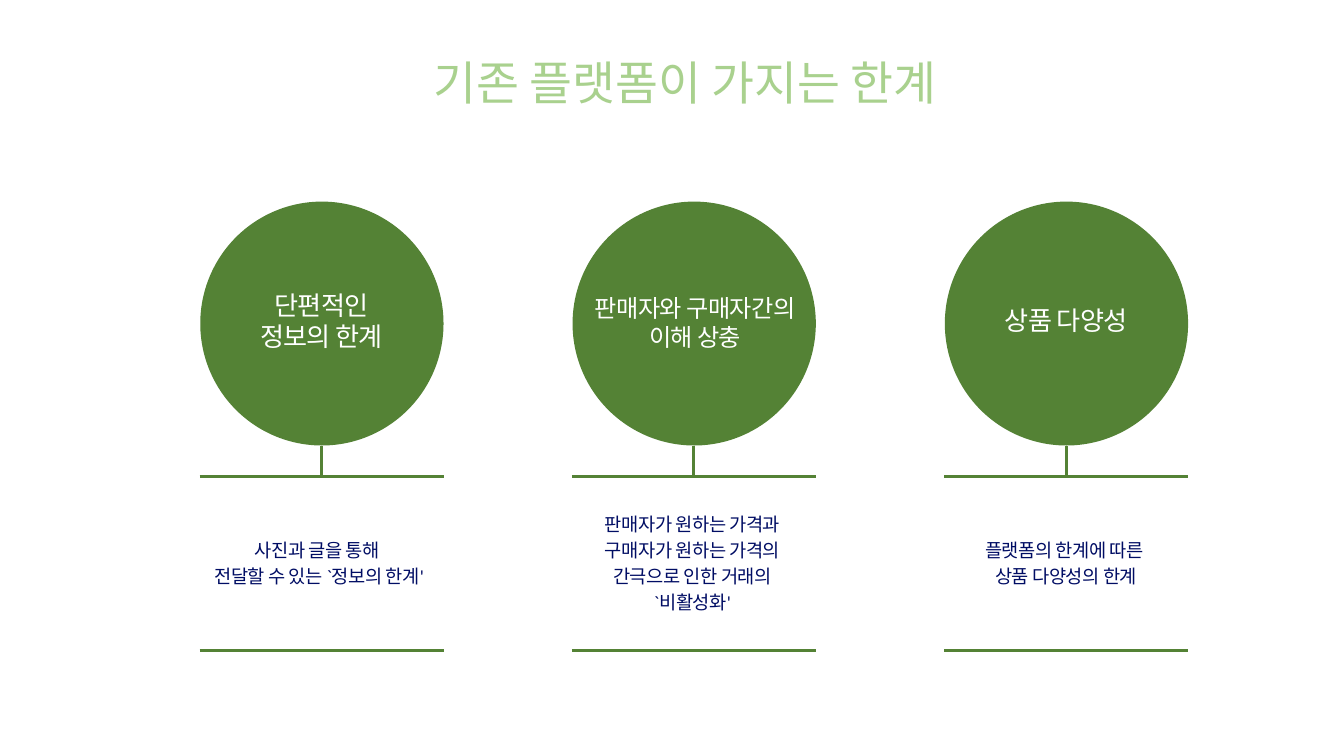
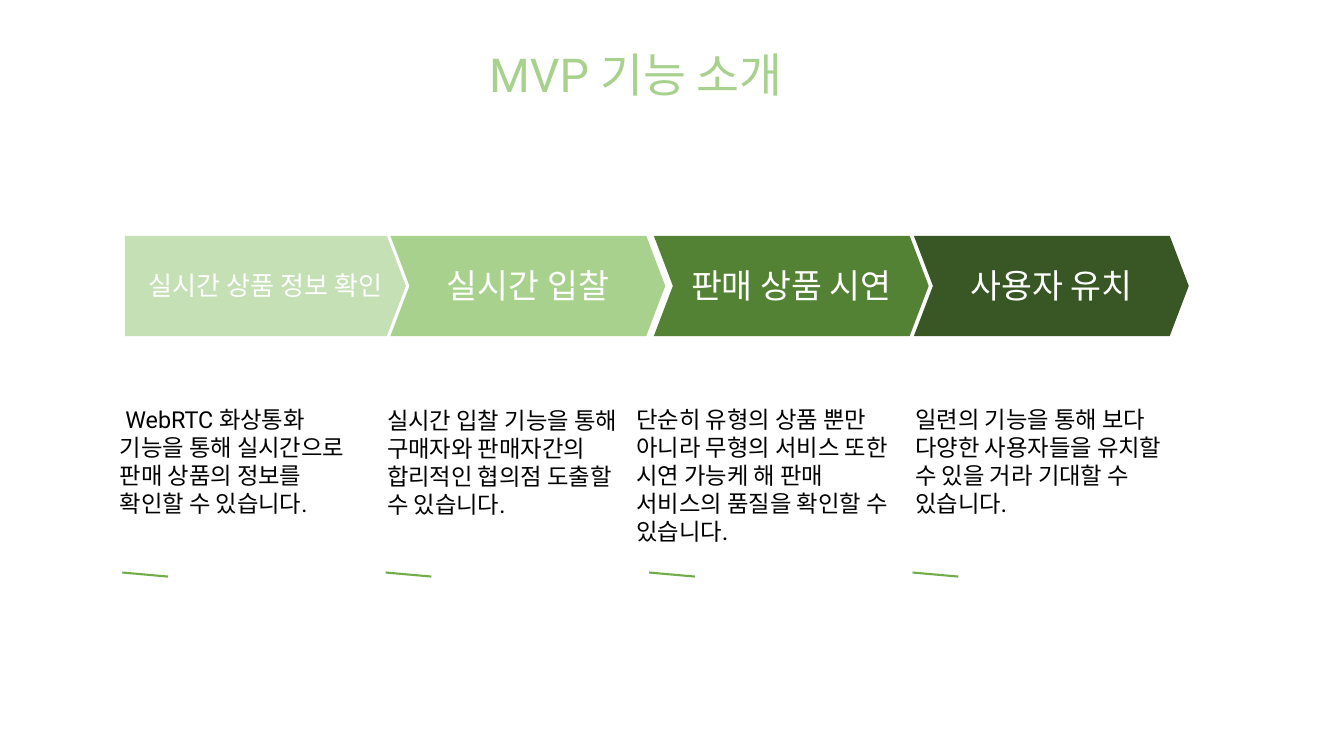
from dataclasses import dataclass

import pptx
import pptx.dml.color
import pptx.enum.shapes
import pptx.enum.text
import pptx.util
from pptx.util import Inches

SHAPE = pptx.enum.shapes.MSO_SHAPE
ALIGN = pptx.enum.text.PP_ALIGN
ANCHOR = pptx.enum.text.MSO_ANCHOR

# Shared palette and fonts
PALE, LIGHT, GREEN, DARK = "C5E0B4", "A9D18E", "548235", "385724"
ACCENT, NAVY, WHITE, BLACK = "70AD47", "000D64", "FFFFFF", "000000"
MAIN_FONT, LATIN_FONT = "Calibri", "Roboto"


@dataclass(frozen=True)
class Area:
    left: float
    top: float
    width: float
    height: float

    def lengths(self) -> list:
        return [Inches(n) for n in (self.left, self.top, self.width, self.height)]


@dataclass(frozen=True)
class TextStyle:
    size: float
    line_height: float
    color: str
    font: str = MAIN_FONT
    align: ALIGN = ALIGN.CENTER
    tracking: float = 0


@dataclass(frozen=True)
class Limit:
    label: str
    label_area: Area
    label_style: TextStyle
    detail: str
    detail_area: Area


@dataclass(frozen=True)
class Feature:
    name: str
    name_size: float
    arrow: SHAPE
    arrow_left: float
    arrow_width: float
    color: str
    detail: str
    detail_area: Area
    detail_font: str = MAIN_FONT


LABEL = TextStyle(28, 33.6, WHITE, tracking=-0.7)
SMALL_LABEL = TextStyle(25.9, 31.1, WHITE, tracking=-0.6)
LIMIT_DETAIL = TextStyle(20, 28, NAVY, tracking=-0.5)

# Slide 1 content and column grid
LIMITS = [
    Limit("단편적인\n정보의 한계", Area(2.97, 4.3, 3.63, 0.97), LABEL,
          "사진과 글을 통해 \n전달할 수 있는 `정보의 한계'", Area(2.31, 7.96, 4.88, 0.79)),
    Limit("판매자와 구매자간의\n이해 상충", Area(8.66, 4.37, 3.37, 0.9), SMALL_LABEL,
          "판매자가 원하는 가격과\n구매자가 원하는 가격의\n간극으로 인한 거래의\n`비활성화'",
          Area(8.49, 7.57, 3.63, 1.56)),
    Limit("상품 다양성", Area(14.05, 4.53, 3.63, 0.51), LABEL,
          "플랫폼의 한계에 따른 \n상품 다양성의 한계", Area(14.05, 7.96, 3.63, 0.79)),
]
COLUMN_LEFT, COLUMN_STEP, COLUMN_WIDTH = 2.97, 5.54, 3.63
CIRCLE_TOP, RULE_TOP, RULE_BOTTOM = 3, 7.09, 9.68

# Slide 2 content and arrow row
FEATURES = [
    Feature("실시간 상품 정보 확인", 28, SHAPE.PENTAGON, 1.86, 4.18, PALE,
            " WebRTC 화상통화 기능을 통해 실시간으로 판매 상품의 정보를 확인할 수 있습니다.",
            Area(1.78, 6.03, 3.74, 1.64), LATIN_FONT),
    Feature("실시간 입찰", 36, SHAPE.CHEVRON, 5.81, 4.09, LIGHT,
            "실시간 입찰 기능을 통해 구매자와 판매자간의 합리적인 협의점 도출할 수 있습니다.",
            Area(5.76, 6.04, 3.47, 1.64)),
    Feature("판매 상품 시연", 36, SHAPE.CHEVRON, 9.73, 4.09, GREEN,
            "단순히 유형의 상품 뿐만 아니라 무형의 서비스 또한 시연 가능케 해 판매 "
            "서비스의 품질을 확인할 수 있습니다.", Area(9.47, 6.03, 3.91, 1.64)),
    Feature("사용자 유치", 36, SHAPE.CHEVRON, 13.6, 4.09, DARK,
            "일련의 기능을 통해 보다 다양한 사용자들을 유치할 수 있을 거라 기대할 수 있습니다.",
            Area(13.62, 6.03, 3.85, 1.67)),
]
ARROW_TOP, ARROW_HEIGHT, ARROW_POINT = 3.51, 1.49, 0.19
DASH_LEFT, DASH_STEP, DASH_WIDTH = 1.82, 3.92, 0.68


def rgb(color: str) -> pptx.dml.color.RGBColor:
    return pptx.dml.color.RGBColor.from_string(color)


def add_text(page, text: str, area: Area, style: TextStyle,
             inset: float = 0, middle: bool = False) -> None:
    box = page.shapes.add_textbox(*area.lengths())
    frame = box.text_frame
    frame.word_wrap = True
    frame.margin_left = frame.margin_right = Inches(inset)
    frame.margin_top = frame.margin_bottom = Inches(inset)
    frame.vertical_anchor = ANCHOR.MIDDLE if middle else ANCHOR.TOP
    frame.text = text
    for para in frame.paragraphs:
        para.alignment = style.align
        para.line_spacing = pptx.util.Pt(style.line_height)
        for span in para.runs:
            span.font.size = pptx.util.Pt(style.size)
            span.font.name = style.font
            span.font.color.rgb = rgb(style.color)
            if style.tracking:
                span.font._element.set("spc", str(round(style.tracking * 100)))


def add_title(page, text: str, area: Area, font: str = MAIN_FONT) -> None:
    add_text(page, text, area, TextStyle(50, 60, LIGHT, font))


def add_solid(page, kind: SHAPE, area: Area, color: str):
    shape = page.shapes.add_shape(kind, *area.lengths())
    shape.shadow.inherit = False
    shape.fill.solid()
    shape.fill.fore_color.rgb = rgb(color)
    shape.line.fill.background()
    return shape


def add_line(page, x1: float, y1: float, x2: float, y2: float,
             color: str, width: float) -> None:
    line = page.shapes.add_connector(
        pptx.enum.shapes.MSO_CONNECTOR.STRAIGHT,
        Inches(x1), Inches(y1), Inches(x2), Inches(y2))
    line.line.color.rgb = rgb(color)
    line.line.width = pptx.util.Pt(width)
    line._element.spPr.append(pptx.oxml.xmlchemy.OxmlElement("a:effectLst"))


def draw_limits(page) -> None:
    add_title(page, "기존 플랫폼이 가지는 한계", Area(5.99, 0.8, 8.41, 0.86))
    for index, limit in enumerate(LIMITS):
        left = COLUMN_LEFT + index * COLUMN_STEP
        right, center = left + COLUMN_WIDTH, left + COLUMN_WIDTH / 2
        circle = Area(left + 0.01, CIRCLE_TOP, 3.62, 3.63)
        add_solid(page, SHAPE.OVAL, circle, GREEN)
        add_line(page, center, RULE_TOP, center, CIRCLE_TOP + circle.height, GREEN, 3)
        for y in (RULE_TOP, RULE_BOTTOM):
            add_line(page, left, y, right, y, GREEN, 3)
        add_text(page, limit.label, limit.label_area, limit.label_style)
        add_text(page, limit.detail, limit.detail_area, LIMIT_DETAIL)


def draw_features(page) -> None:
    add_title(page, "MVP 기능 소개", Area(7.11, 0.68, 4.71, 0.86), LATIN_FONT)
    for index, feature in enumerate(FEATURES):
        # Arrow with its name
        area = Area(feature.arrow_left, ARROW_TOP, feature.arrow_width, ARROW_HEIGHT)
        arrow = add_solid(page, feature.arrow, area, feature.color)
        arrow.adjustments[0] = ARROW_POINT
        name_style = TextStyle(feature.name_size, feature.name_size * 1.2, WHITE)
        name_area = Area(area.left, 3.49, area.width, 1.51)
        add_text(page, feature.name, name_area, name_style, inset=0.06, middle=True)

        # Description and slanted dash
        detail_style = TextStyle(25, 30, BLACK, feature.detail_font, ALIGN.LEFT)
        add_text(page, feature.detail, feature.detail_area, detail_style)
        dash = DASH_LEFT + index * DASH_STEP
        add_line(page, dash, 8.52, dash + DASH_WIDTH, 8.58, ACCENT, 2.25)


def main() -> None:
    deck = pptx.Presentation()
    deck.slide_width, deck.slide_height = Inches(20), Inches(11.25)
    for draw in (draw_limits, draw_features):
        draw(deck.slides.add_slide(deck.slide_layouts[6]))
    deck.save("out.pptx")


if __name__ == "__main__":
    main()
